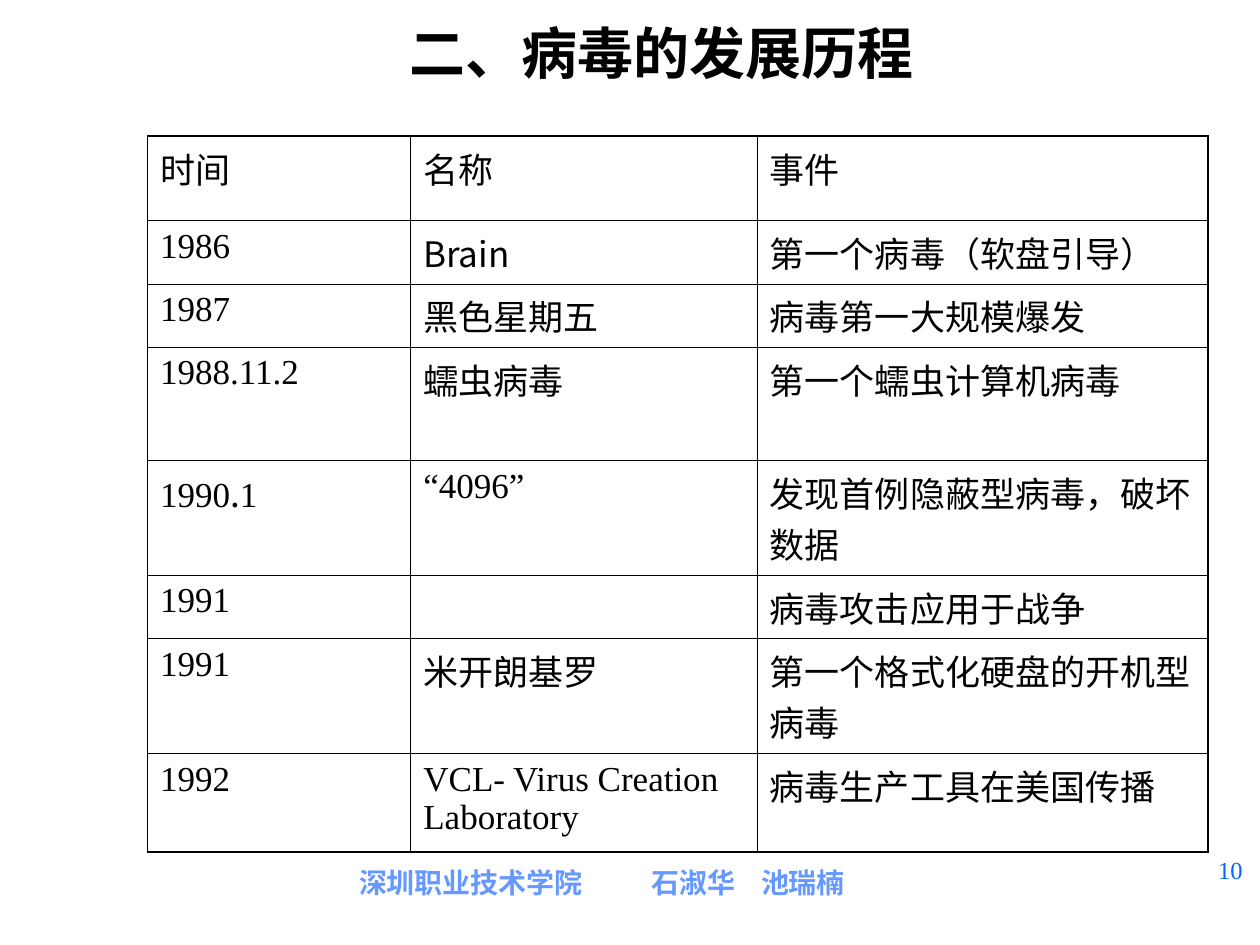
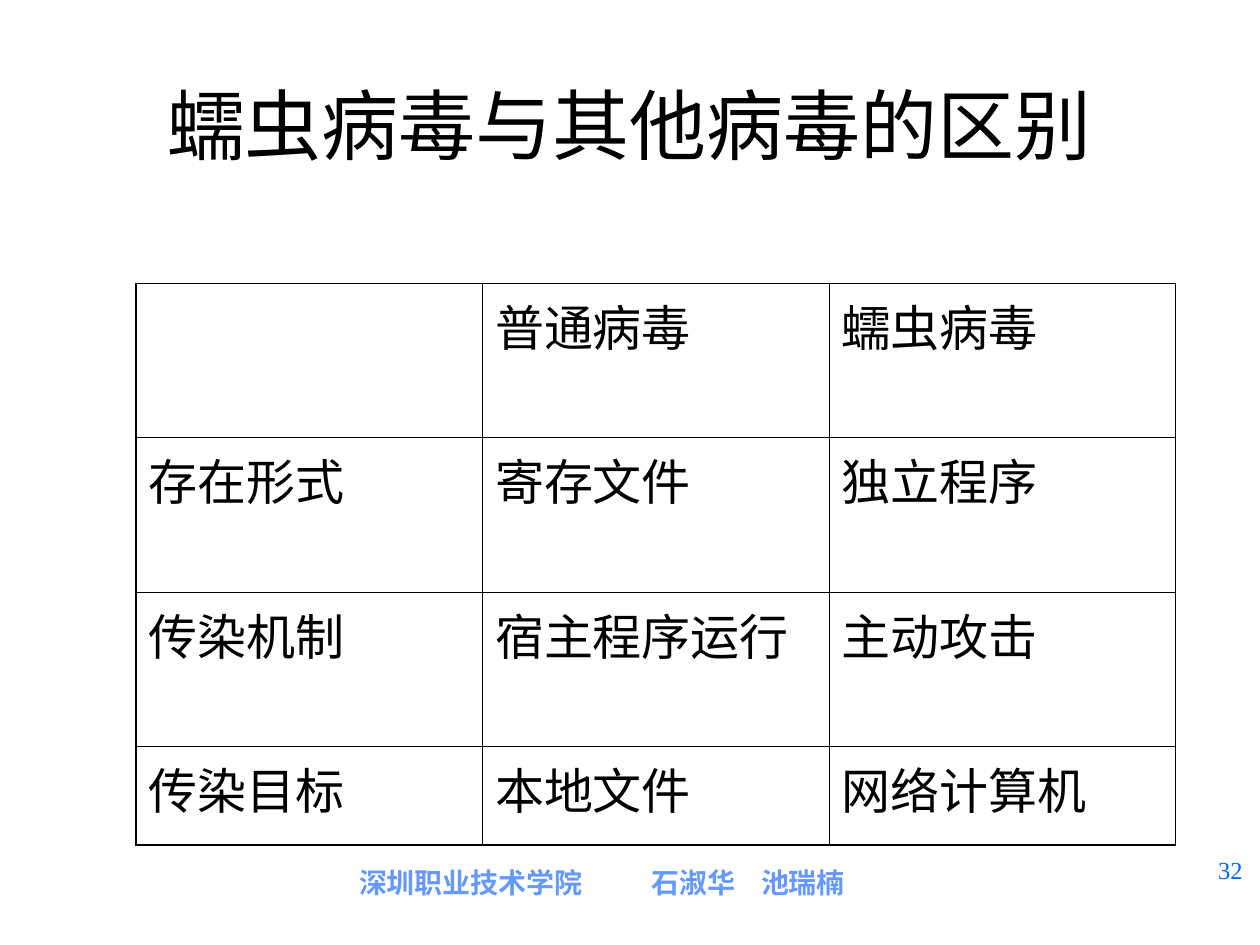
"""Build two table slides on the history and kinds of computer viruses."""
from dataclasses import dataclass
from typing import NamedTuple

from lxml import etree
from pptx import Presentation
from pptx.dml.color import RGBColor
from pptx.enum.text import MSO_ANCHOR, MSO_AUTO_SIZE, PP_ALIGN
from pptx.oxml.ns import qn
from pptx.util import Inches, Pt

MIDDLE = MSO_ANCHOR.MIDDLE
FIXED, GROW = MSO_AUTO_SIZE.NONE, MSO_AUTO_SIZE.SHAPE_TO_FIT_TEXT
LEFT, CENTER, RIGHT = PP_ALIGN.LEFT, PP_ALIGN.CENTER, PP_ALIGN.RIGHT
TITLE_ONLY = 5
MARK = "|"


@dataclass(frozen=True)
class Theme:
    serif: str = "Times New Roman"
    sans: str = "Noto Sans CJK SC"
    ink: str = "000000"
    pale: str = "6699FF"
    blue: str = "0066FF"
    foot: int = 16
    num: int = 14
    thick: float = 1.08
    thin: float = 0.45


class Area(NamedTuple):
    x: float
    y: float
    w: float
    h: float


class Style(NamedTuple):
    size: int
    font: str
    color: str
    bold: bool = False


class Grid(NamedTuple):
    x: float
    y: float
    cols: list[float]
    rows: list[float]
    size: int
    data: list[list[str]]


class Page(NamedTuple):
    title: str
    area: Area
    style: Style
    grid: Grid
    num: str


THEME = Theme()
COLS, ROWS = 100, 75
WIDTH, HEIGHT = Inches(10), Inches(7.5)
FOOT = Area(16.9, 68.2, 61.7, 3.7)
NUM = Area(92.5, 67.4, 7.1, 5.2)
FOOT_PAD = 11.6
FOOT_TABS = (23.2, 31.9)

PAGES = [
    Page(
        "二、病毒的发展历程", Area(10, 0, 85, 8.3),
        Style(32, THEME.sans, THEME.ink, True),
        Grid(11.7, 10.8, [20.9, 27.5, 35.8],
             [6.7, 5, 5, 9, 9.1, 5, 9.1, 7.8], 20, [
            ["时间", "名称", "事件"],
            ["1986", "|Brain", "第一个病毒（软盘引导）"],
            ["1987", "黑色星期五", "病毒第一大规模爆发"],
            ["1988.11.2", "|蠕虫病毒", "第|一个蠕虫计算机病毒"],
            ["1990|.|1", "“4096”", "|发现首例隐蔽型病毒，破坏数据"],
            ["1991", "", "|病毒攻击应用于战争"],
            ["1991", "米开朗基罗", "第一个格式化硬盘的开机型|病毒"],
            ["1992", "VCL- Virus Creation Laboratory",
             "|病毒生产工具在美国传播"],
        ]), "10"),
    Page(
        "蠕虫病毒与其他病毒的区别", Area(7.5, 3.6, 85, 12.5),
        Style(44, THEME.serif, THEME.ink),
        Grid(10.8, 22.5, [27.5] * 3, [12.25] * 3 + [7.8], 28, [
            ["", "|普通病毒", "|蠕虫病毒"],
            ["|存在形式", "|寄存文件", "|独立程序"],
            ["|传染机制", "|宿主程序运行", "|主动攻击"],
            ["|传染目标", "|本地文件", "|网络计算机"],
        ]), "32"),
]


def across(n: float) -> int:
    """Turn grid columns into a length."""
    return round(WIDTH * n / COLS)


def down(n: float) -> int:
    """Turn grid rows into a length."""
    return round(HEIGHT * n / ROWS)


def place(area: Area) -> tuple[int, int, int, int]:
    """Turn an area into left, top, width and height."""
    return across(area.x), down(area.y), across(area.w), down(area.h)


def dress(run, style: Style) -> None:
    """Format one run, with the sans face for Chinese."""
    font = run.font
    font.size, font.bold, font.name = Pt(style.size), style.bold, style.font
    font.color.rgb = RGBColor.from_string(style.color)
    props = run._r.get_or_add_rPr()
    etree.SubElement(props, qn("a:ea"), typeface=THEME.sans)


def write(frame, text: str, style: Style, align: PP_ALIGN) -> None:
    """Write one styled paragraph."""
    frame.text = text
    para = frame.paragraphs[0]
    para.alignment = align
    for run in para.runs:
        dress(run, style)


def add_box(slide, area: Area, text: str, style: Style, align: PP_ALIGN):
    """Add a wrapped text box."""
    box = slide.shapes.add_textbox(*place(area))
    box.text_frame.word_wrap = True
    write(box.text_frame, text, style, align)
    return box


def add_foot(slide) -> None:
    """Put the shared footer on the slide's layout."""
    style = Style(THEME.foot, THEME.sans, THEME.pale, True)
    box = add_box(slide, FOOT, "深圳职业技术学院\t石淑华\t池瑞楠", style, LEFT)
    frame = box.text_frame
    frame.margin_left, frame.auto_size = across(FOOT_PAD), GROW
    props = frame.paragraphs[0]._p.get_or_add_pPr()
    tabs = etree.SubElement(props, qn("a:tabLst"))
    for stop in FOOT_TABS:
        etree.SubElement(tabs, qn("a:tab"), pos=str(across(stop)), algn="l")
    slide.slide_layout.shapes.element.append(box.element)


def add_edge(cell, side: str, outer: bool) -> None:
    """Draw one cell border, thicker on the outside."""
    width = Pt(THEME.thick if outer else THEME.thin)
    props = cell._tc.get_or_add_tcPr()
    line = etree.SubElement(props, qn(f"a:ln{side}"), w=str(width))
    fill = etree.SubElement(line, qn("a:solidFill"))
    etree.SubElement(fill, qn("a:srgbClr"), val=THEME.ink)


def fill_cell(cell, text: str, size: int) -> None:
    """Write a cell whose marks switch between serif and sans."""
    para = cell.text_frame.paragraphs[0]
    for i, part in enumerate(text.split(MARK)):
        if part:
            run = para.add_run()
            run.text = part
            face = THEME.sans if i % 2 else THEME.serif
            dress(run, Style(size, face, THEME.ink))


def add_grid(slide, grid: Grid) -> None:
    """Add a bordered table."""
    area = Area(grid.x, grid.y, sum(grid.cols), sum(grid.rows))
    last_row, last_col = len(grid.rows) - 1, len(grid.cols) - 1
    table = slide.shapes.add_table(
        last_row + 1, last_col + 1, *place(area)).table
    table.first_row = table.horz_banding = False
    for col, width in zip(table.columns, grid.cols):
        col.width = across(width)
    for r, (row, height) in enumerate(zip(table.rows, grid.rows)):
        row.height = down(height)
        for c, cell in enumerate(row.cells):
            edges = {"L": c == 0, "R": c == last_col,
                     "T": r == 0, "B": r == last_row}
            for side, outer in edges.items():
                add_edge(cell, side, outer)
            cell.fill.background()
            fill_cell(cell, grid.data[r][c], grid.size)


def add_page(slide, page: Page) -> None:
    """Fill one slide with its title, table and number."""
    title = slide.shapes.title
    title.left, title.top, title.width, title.height = place(page.area)
    frame = title.text_frame
    frame.auto_size, frame.vertical_anchor = FIXED, MIDDLE
    write(frame, page.title, page.style, CENTER)
    add_grid(slide, page.grid)
    style = Style(THEME.num, THEME.serif, THEME.blue)
    add_box(slide, NUM, page.num, style, RIGHT)


def main() -> None:
    """Build and save the deck."""
    deck = Presentation()
    deck.slide_width, deck.slide_height = WIDTH, HEIGHT
    layout = deck.slide_layouts[TITLE_ONLY]
    slides = [deck.slides.add_slide(layout) for _ in PAGES]
    add_foot(slides[0])
    for slide, page in zip(slides, PAGES):
        add_page(slide, page)
    deck.save("out.pptx")


if __name__ == "__main__":
    main()
